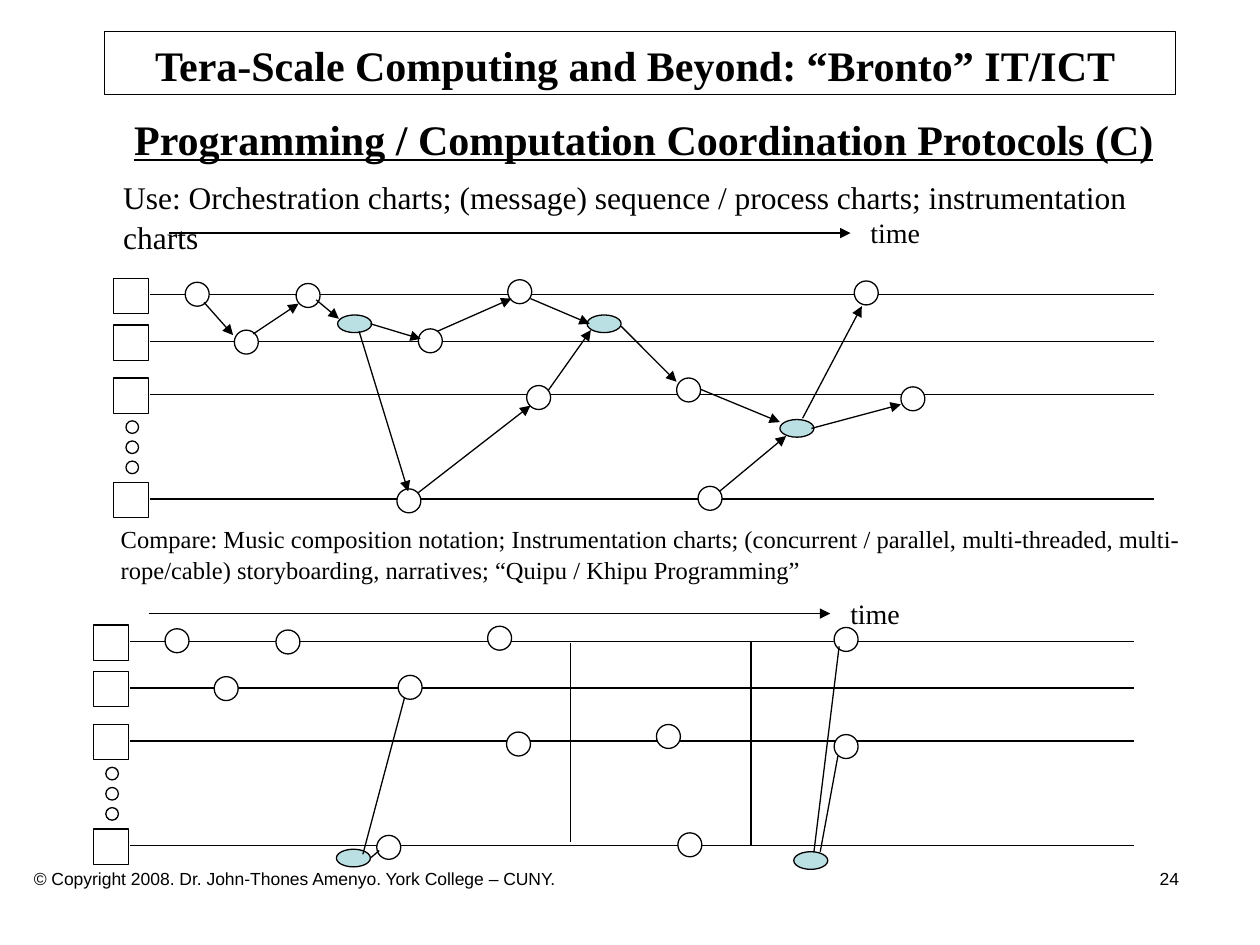
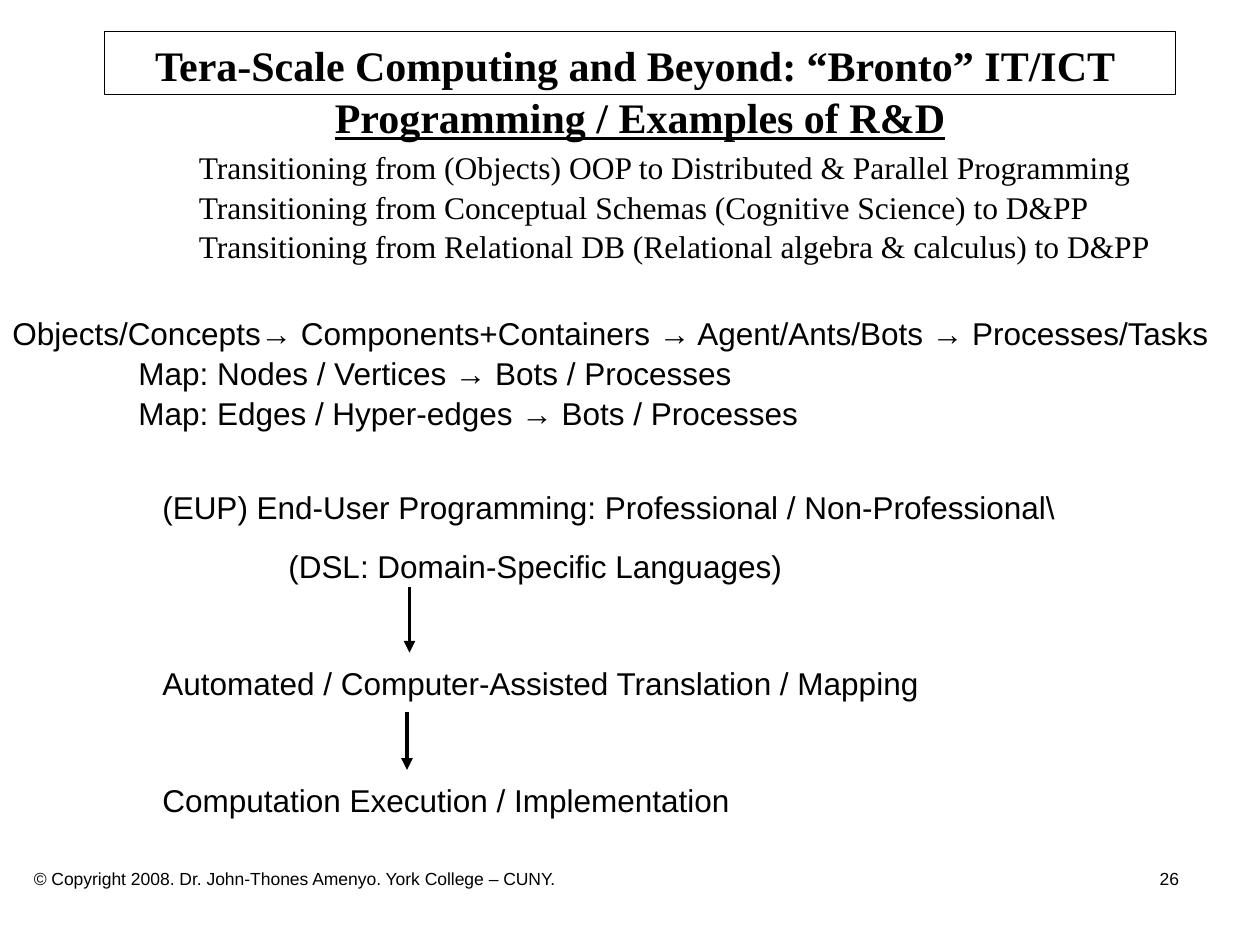
from dataclasses import dataclass
from typing import NamedTuple

from lxml.etree import SubElement
from pptx import Presentation
from pptx.dml.color import RGBColor
from pptx.enum.shapes import MSO_CONNECTOR, MSO_SHAPE
from pptx.enum.text import MSO_ANCHOR, PP_ALIGN
from pptx.oxml.ns import qn
from pptx.slide import Slide
from pptx.text.text import TextFrame
from pptx.util import Emu, Inches, Pt

WIDE, HIGH = Inches(10), Inches(7.5)
COLS, ROWS = 100, 75


@dataclass(frozen=True)
class Theme:
    ink: RGBColor = RGBColor(0, 0, 0)
    paper: RGBColor = RGBColor(255, 255, 255)
    sync: RGBColor = RGBColor(0xBB, 0xE0, 0xE3)
    serif: str = "Times New Roman"
    sans: str = "Arial"
    head: float = 24
    body: float = 18
    label: float = 16
    note: float = 14
    foot: float = 10
    thin: float = 0.75
    thick: float = 2.25
    leading: float = 1.05


THEME = Theme()


class Box(NamedTuple):
    left: float
    top: float
    wide: float
    high: float


class Spot(NamedTuple):
    x: float
    y: float


class Link(NamedTuple):
    x1: float
    y1: float
    x2: float
    y2: float


class Line(NamedTuple):
    text: str
    indent: float = 0
    before: float = 0


@dataclass(frozen=True)
class Style:
    font: str
    size: float
    bold: bool = False
    under: bool = False
    align: PP_ALIGN = PP_ALIGN.LEFT


@dataclass(frozen=True)
class Chart:
    left: float
    top: float
    clock: float
    last: Spot
    syncs: tuple[Spot, ...]
    links: tuple[Link, ...]
    arrow: bool


HEAD = Style(THEME.serif, THEME.head, True, align=PP_ALIGN.CENTER)
TOPIC = Style(THEME.serif, THEME.head, True, True, PP_ALIGN.CENTER)
BODY = Style(THEME.serif, THEME.body)
PLAIN = Style(THEME.sans, THEME.body)
LABEL = Style(THEME.serif, THEME.label)
NOTE = Style(THEME.serif, THEME.note)
FOOT = Style(THEME.sans, THEME.foot)

TITLE = "Tera-Scale Computing and Beyond: “Bronto” IT/ICT "
OWNER = "© Copyright 2008. Dr. John-Thones Amenyo. York College – CUNY."
FOOT_TAB = 90.9

LANES = (0, 3.7, 7.9, 16.2)
LANE_BOX, DOT, EVENT = 2.8, 1.0, 1.9
WIRE = Link(2.9, 1.3, 82.6, 1.3)
DOT_TOP, DOT_STEP = 11.3, 1.6
EVENTS = (
    Spot(5.7, 0.3), Spot(9.6, 4.1), Spot(14.5, 0.4), Spot(24.2, 4),
    Spot(22.5, 16.7), Spot(32.8, 8.5), Spot(31.3, 0.1), Spot(44.7, 7.9),
    Spot(46.4, 16.5), Spot(58.8, 0.2),
)

FLOW = Chart(
    9, 22.1, -3.6, Spot(62.5, 8.6),
    (Spot(17.8, 2.9), Spot(37.6, 2.9), Spot(52.9, 11.2)),
    (
        Link(7.2, 1.9, 9.5, 4.5), Link(11.1, 4.4, 14.7, 2),
        Link(20.4, 3.6, 24.4, 4.8), Link(19.5, 4.2, 23.4, 16.9),
        Link(16.1, 1.7, 17.9, 3.2), Link(25.7, 4.2, 31.6, 1.6),
        Link(24.2, 17, 33.1, 10.1), Link(33.1, 1.6, 37.8, 3.6),
        Link(34.5, 8.9, 37.9, 4.1), Link(40.3, 3.8, 44.7, 8.2),
        Link(54.7, 11.1, 59.4, 2.2), Link(55.4, 11.9, 62.5, 10),
        Link(46.6, 8.8, 52.9, 11.4), Link(48.1, 16.9, 53.4, 12.5),
    ),
    True,
)
SCORE = Chart(
    7.4, 49.6, -0.9, Spot(58.8, 8.7),
    (Spot(19.3, 17.8), Spot(55.6, 18)),
    (
        Link(22, 18.5, 22.7, 17.9), Link(21.4, 18.2, 24.7, 5.8),
        Link(37.9, 1.4, 37.9, 17.2), Link(52.2, 1.3, 52.2, 17.5),
        Link(57.2, 18, 59.2, 1.7), Link(57.7, 18, 59.1, 10.4),
    ),
    False,
)


def col(n: float) -> Emu:
    """Turn grid columns into a length."""
    return Emu(round(n * WIDE / COLS))


def row(n: float) -> Emu:
    """Turn grid rows into a length."""
    return Emu(round(n * HIGH / ROWS))


def place(box: Box) -> tuple[Emu, Emu, Emu, Emu]:
    """Turn a grid box into left, top, width and height."""
    return col(box.left), row(box.top), col(box.wide), row(box.high)


def write(frame: TextFrame, lines: tuple[Line, ...], style: Style) -> None:
    """Fill a text frame with lines in one style."""
    frame.word_wrap = True
    frame.text = "\n".join(line.text for line in lines)
    for para, line in zip(frame.paragraphs, lines):
        para.alignment = style.align
        para.line_spacing = THEME.leading
        para.space_before = Pt(line.before)
        para._p.get_or_add_pPr().set("marL", str(col(line.indent)))
        for run in para.runs:
            font = run.font
            font.name, font.size = style.font, Pt(style.size)
            font.bold, font.underline = style.bold, style.under
            font.color.rgb = THEME.ink


def label(slide: Slide, box: Box, style: Style, *lines: Line) -> TextFrame:
    """Add a text box."""
    frame = slide.shapes.add_textbox(*place(box)).text_frame
    write(frame, lines, style)
    return frame


def shape(slide: Slide, kind: MSO_SHAPE, box: Box, fill: RGBColor | None = None) -> None:
    """Add a thinly outlined shape."""
    item = slide.shapes.add_shape(kind, *place(box))
    item.shadow.inherit = False
    if fill is None:
        item.fill.background()
    else:
        item.fill.solid()
        item.fill.fore_color.rgb = fill
    item.line.color.rgb = THEME.ink
    item.line.width = Pt(THEME.thin)


def join(slide: Slide, link: Link, arrow: bool = False, width: float = THEME.thin) -> None:
    """Add a straight line, with an arrowhead on request."""
    item = slide.shapes.add_connector(
        MSO_CONNECTOR.STRAIGHT, col(link.x1), row(link.y1), col(link.x2), row(link.y2))
    item.line.color.rgb = THEME.ink
    item.line.width = Pt(width)
    if arrow:
        SubElement(item.line._get_or_add_ln(), qn("a:tailEnd"), type="triangle")
    SubElement(item._element.spPr, qn("a:effectLst"))


def start(deck: Presentation, page: int, topic: str, box: Box) -> Slide:
    """Add a slide with its framed title, footer and topic."""
    slide = deck.slides.add_slide(deck.slide_layouts[5])
    title = slide.shapes.title
    title.left, title.top, title.width, title.height = place(Box(8.3, 2.5, 85, 5))
    title.line.color.rgb = THEME.ink
    title.line.width = Pt(THEME.thin)
    title.text_frame.vertical_anchor = MSO_ANCHOR.MIDDLE
    write(title.text_frame, (Line(TITLE),), HEAD)
    foot = label(slide, Box(1.7, 68.3, 95, 2.7), FOOT, Line(f"{OWNER}\t{page}"))
    tabs = SubElement(foot.paragraphs[0]._p.get_or_add_pPr(), qn("a:tabLst"))
    SubElement(tabs, qn("a:tab"), pos=str(col(FOOT_TAB)), algn="r")
    label(slide, box, TOPIC, Line(topic))
    return slide


def draw(slide: Slide, chart: Chart) -> None:
    """Draw lanes, time arrow, events and links of a chart."""
    def at(x: float, y: float, wide: float, high: float) -> Box:
        """Place a box inside the chart."""
        return Box(chart.left + x, chart.top + y, wide, high)

    def run(link: Link, drop: float = 0, arrow: bool = False) -> None:
        """Join two points inside the chart."""
        x, y = chart.left, chart.top + drop
        join(slide, Link(link.x1 + x, link.y1 + y, link.x2 + x, link.y2 + y), arrow)

    for lane in LANES:
        shape(slide, MSO_SHAPE.RECTANGLE, at(0, lane, LANE_BOX, LANE_BOX))
        run(WIRE, lane)
    for i in range(3):
        shape(slide, MSO_SHAPE.OVAL, at(1, DOT_TOP + i * DOT_STEP, DOT, DOT))
    run(Link(4.4, 0, 58.5, 0), chart.clock, True)
    label(slide, at(59.1, chart.clock - 2, 8.4, 3.7), LABEL, Line("time"))
    for spot in (*EVENTS, chart.last):
        shape(slide, MSO_SHAPE.OVAL, at(*spot, EVENT, EVENT), THEME.paper)
    for spot in chart.syncs:
        shape(slide, MSO_SHAPE.OVAL, at(*spot, 2.7, 1.4), THEME.sync)
    for link in chart.links:
        run(link, arrow=chart.arrow)


def charts(deck: Presentation) -> None:
    """Build the slide with the two coordination charts."""
    slide = start(deck, 24, "Programming / Computation Coordination Protocols (C)",
                  Box(9.2, 8.3, 83.8, 9))
    label(slide, Box(8.8, 13.5, 87.4, 7), BODY, Line(
        "Use: Orchestration charts; (message) sequence / process charts; "
        "instrumentation charts"))
    draw(slide, FLOW)
    label(slide, Box(8.6, 41, 87.4, 5.7), NOTE, Line(
        "Compare: Music composition notation; Instrumentation charts; "
        "(concurrent / parallel, multi-threaded, multi-rope/cable) storyboarding, "
        "narratives; “Quipu / Khipu Programming”"))
    draw(slide, SCORE)


def research(deck: Presentation) -> None:
    """Build the slide with the research examples."""
    slide = start(deck, 26, "Programming / Examples of R&D", Box(10.8, 6.6, 80, 5))
    label(slide, Box(9.8, 11.1, 83.3, 19), BODY, *(
        Line(f"Transitioning from {text}", 5) for text in (
            "(Objects) OOP to Distributed & Parallel Programming",
            "Conceptual Schemas (Cognitive Science) to D&PP",
            "Relational DB (Relational algebra & calculus) to D&PP")))
    label(slide, Box(0, 24.3, 98, 10), PLAIN,
          Line("Objects/Concepts→ Components+Containers → Agent/Ants/Bots → Processes/Tasks"),
          Line("Map: Nodes / Vertices → Bots / Processes", 10),
          Line("Map: Edges / Hyper-edges → Bots / Processes", 10))
    near, far = 11.2, 44
    label(slide, Box(11.9, 38.1, 78.7, 26.8), PLAIN,
          Line("(EUP) End-User Programming: Professional / Non-Professional\\"),
          Line("(DSL: Domain-Specific Languages)", 10, near),
          Line("Automated / Computer-Assisted Translation / Mapping", 0, far),
          Line("Computation Execution / Implementation", 0, far))
    for link in (Link(32.5, 46.6, 32.5, 51.8), Link(32.3, 56.5, 32.3, 61.1)):
        join(slide, link, True, THEME.thick)


def main() -> None:
    """Build and save the deck."""
    deck = Presentation()
    deck.slide_width, deck.slide_height = WIDE, HIGH
    charts(deck)
    research(deck)
    deck.save("out.pptx")


if __name__ == "__main__":
    main()
